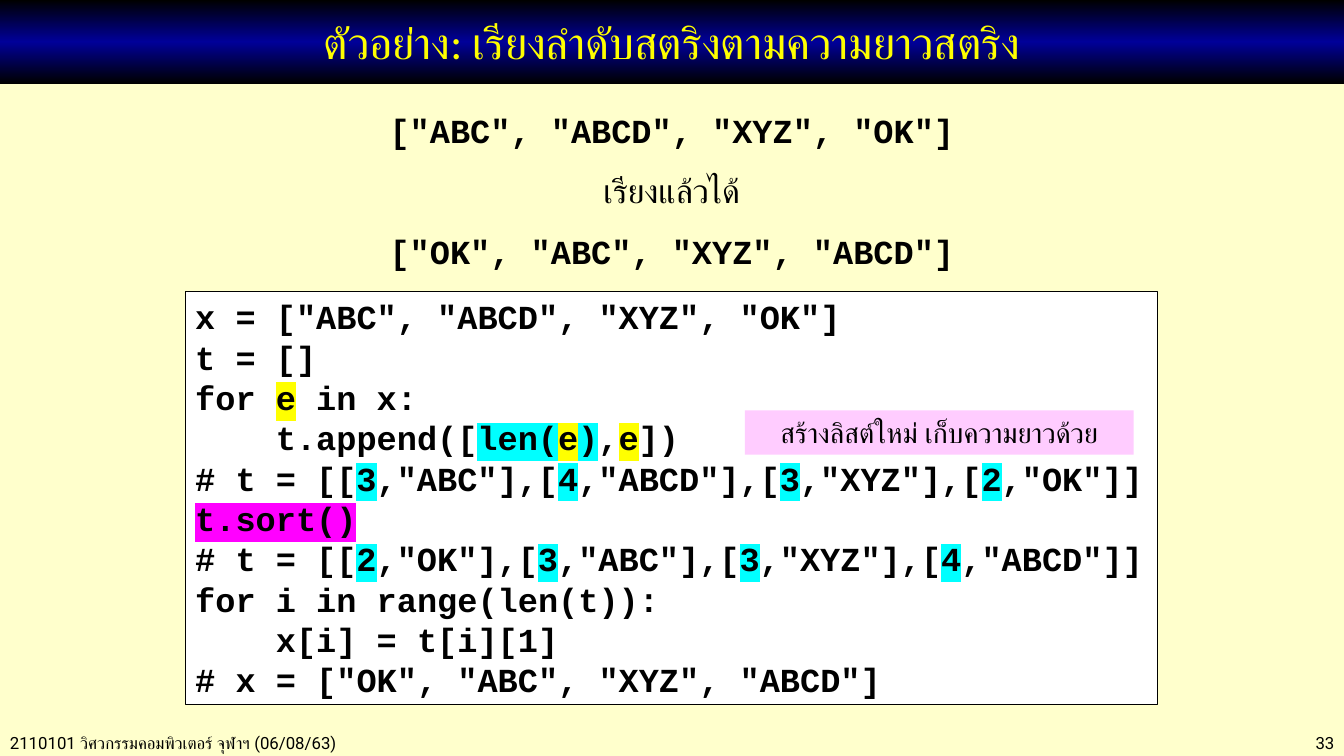
"""Build a slide on sorting a list of strings by length."""
from copy import deepcopy

from lxml.etree import SubElement
from pptx import Presentation
from pptx.dml.color import RGBColor
from pptx.enum.shapes import MSO_SHAPE as SHAPE
from pptx.enum.text import MSO_ANCHOR as ANCHOR, MSO_AUTO_SIZE as AUTO, PP_ALIGN as ALIGN
from pptx.oxml.ns import qn
from pptx.util import Cm, Pt

BLACK = RGBColor(0x00, 0x00, 0x00)
WHITE = RGBColor(0xFF, 0xFF, 0xFF)
NAVY = RGBColor(0x00, 0x00, 0x99)
CREAM = RGBColor(0xFF, 0xFF, 0xCC)
PINK = RGBColor(0xFF, 0xCC, 0xFF)
YELLOW = RGBColor(0xFF, 0xFF, 0x00)
CYAN = RGBColor(0x00, 0xFF, 0xFF)
MAGENTA = RGBColor(0xFF, 0x00, 0xFF)

CODE_FONT, BODY_FONT, TITLE_FONT = "Courier New", "Roboto", "Calibri"

TITLE = "ตัวอย่าง: เรียงลำดับสตริงตามความยาวสตริง"
NOTE = "สร้างลิสต์ใหม่ เก็บความยาวด้วย"
EXAMPLE = [
    ('["ABC", "ABCD", "XYZ", "OK"]', CODE_FONT),
    ("เรียงแล้วได้", BODY_FONT),
    ('["OK", "ABC", "XYZ", "ABCD"]', CODE_FONT),
]
FOOTERS = [
    ("2110101 วิศวกรรมคอมพิวเตอร์ จุฬาฯ (06/08/63)", 0, 13.21, ALIGN.LEFT),
    ("33", 29.21, 4.67, ALIGN.RIGHT),
]
CODE = [
    [('x = ["ABC", "ABCD", "XYZ", "OK"]', None)],
    [("t = []", None)],
    [("for ", None), ("e", YELLOW), (" in x:", None)],
    [("    t.append([", None), ("len(", CYAN), ("e", YELLOW), (")", CYAN),
     (",", None), ("e", YELLOW), ("])", None)],
    [("# t = [[", None), ("3", CYAN), (',"ABC"],[', None), ("4", CYAN),
     (',"ABCD"],[', None), ("3", CYAN), (',"XYZ"],[', None), ("2", CYAN),
     (',"OK"]]', None)],
    [("t.sort()", MAGENTA)],
    [("# t = [[", None), ("2", CYAN), (',"OK"],[', None), ("3", CYAN),
     (',"ABC"],[', None), ("3", CYAN), (',"XYZ"],[', None), ("4", CYAN),
     (',"ABCD"]]', None)],
    [("for i in range(len(t)):", None)],
    [("    x[i] = t[i][1]", None)],
    [('# x = ["OK", "ABC", "XYZ", "ABCD"]', None)],
]


def add_run(p, text, font, size, color=BLACK, bold=False, highlight=None):
    r = p.add_run()
    r.text = text
    r.font.size = Pt(size)
    r.font.bold = bold
    r.font.color.rgb = color
    if highlight is not None:
        mark = SubElement(r.font._element, qn("a:highlight"))
        SubElement(mark, qn("a:srgbClr")).set("val", str(highlight))
    r.font.name = font


def add_paragraphs(tf, count, align):
    for _ in range(count - 1):
        tf.add_paragraph()
    for p in tf.paragraphs:
        p.alignment = align
    return tf.paragraphs


def add_box(slide, left, top, width, height, fill=None):
    sp = slide.shapes.add_shape(SHAPE.RECTANGLE, Cm(left), Cm(top), Cm(width), Cm(height))
    sp.shadow.inherit = False
    sp.line.fill.background()
    if fill is not None:
        sp.fill.solid()
        sp.fill.fore_color.rgb = fill
    sp.text_frame.word_wrap = True
    sp.text_frame.vertical_anchor = ANCHOR.TOP
    return sp


def add_text(slide, left, top, width, height, wrap=True):
    tf = slide.shapes.add_textbox(Cm(left), Cm(top), Cm(width), Cm(height)).text_frame
    tf.word_wrap = wrap
    tf.auto_size = AUTO.SHAPE_TO_FIT_TEXT
    return tf


def add_footers(slide):
    for text, left, width, align in FOOTERS:
        tf = add_text(slide, left, 18.34, width, 0.76)
        p = add_paragraphs(tf, 1, align)[0]
        p.space_before = Pt(6)
        add_run(p, text, BODY_FONT, 12)


def add_title(slide):
    sp = add_box(slide, 0, 0, 33.87, 2.11)
    sp.fill.gradient()
    sp.fill.gradient_angle = 270
    first, last = sp.fill.gradient_stops
    first.color.rgb = last.color.rgb = BLACK
    first.position, last.position = 0, 1
    stops = sp._element.spPr.find(qn("a:gradFill")).find(qn("a:gsLst"))
    stops.insert(1, deepcopy(stops[0]))
    middle = sp.fill.gradient_stops[1]
    middle.position = 0.5
    middle.color.rgb = NAVY
    sp.text_frame.vertical_anchor = ANCHOR.MIDDLE
    p = add_paragraphs(sp.text_frame, 1, ALIGN.CENTER)[0]
    add_run(p, TITLE, TITLE_FONT, 32, YELLOW)


def add_code(slide):
    sp = add_box(slide, 4.67, 7.34, 24.51, 10.41, WHITE)
    sp.line.color.rgb = BLACK
    sp.line.width = Pt(0.75)
    for p, parts in zip(add_paragraphs(sp.text_frame, len(CODE), ALIGN.LEFT), CODE):
        for text, highlight in parts:
            add_run(p, text, CODE_FONT, 24, bold=True, highlight=highlight)


def add_example(slide):
    tf = add_text(slide, 9.5, 2.13, 14.86, 4.75, wrap=False)
    for p, (text, font) in zip(add_paragraphs(tf, len(EXAMPLE), ALIGN.CENTER), EXAMPLE):
        p.line_spacing = 1.5
        add_run(p, text, font, 24, bold=font == CODE_FONT)


def add_note(slide):
    sp = add_box(slide, 18.77, 10.34, 9.8, 1.12, PINK)
    sp.text_frame.auto_size = AUTO.SHAPE_TO_FIT_TEXT
    p = add_paragraphs(sp.text_frame, 1, ALIGN.CENTER)[0]
    add_run(p, NOTE, BODY_FONT, 20)


def main():
    prs = Presentation()
    prs.slide_width, prs.slide_height = Cm(33.87), Cm(19.05)
    slide = prs.slides.add_slide(prs.slide_layouts[6])
    slide.background.fill.solid()
    slide.background.fill.fore_color.rgb = CREAM
    add_footers(slide)
    add_title(slide)
    add_code(slide)
    add_example(slide)
    add_note(slide)
    prs.save("out.pptx")


if __name__ == "__main__":
    main()
